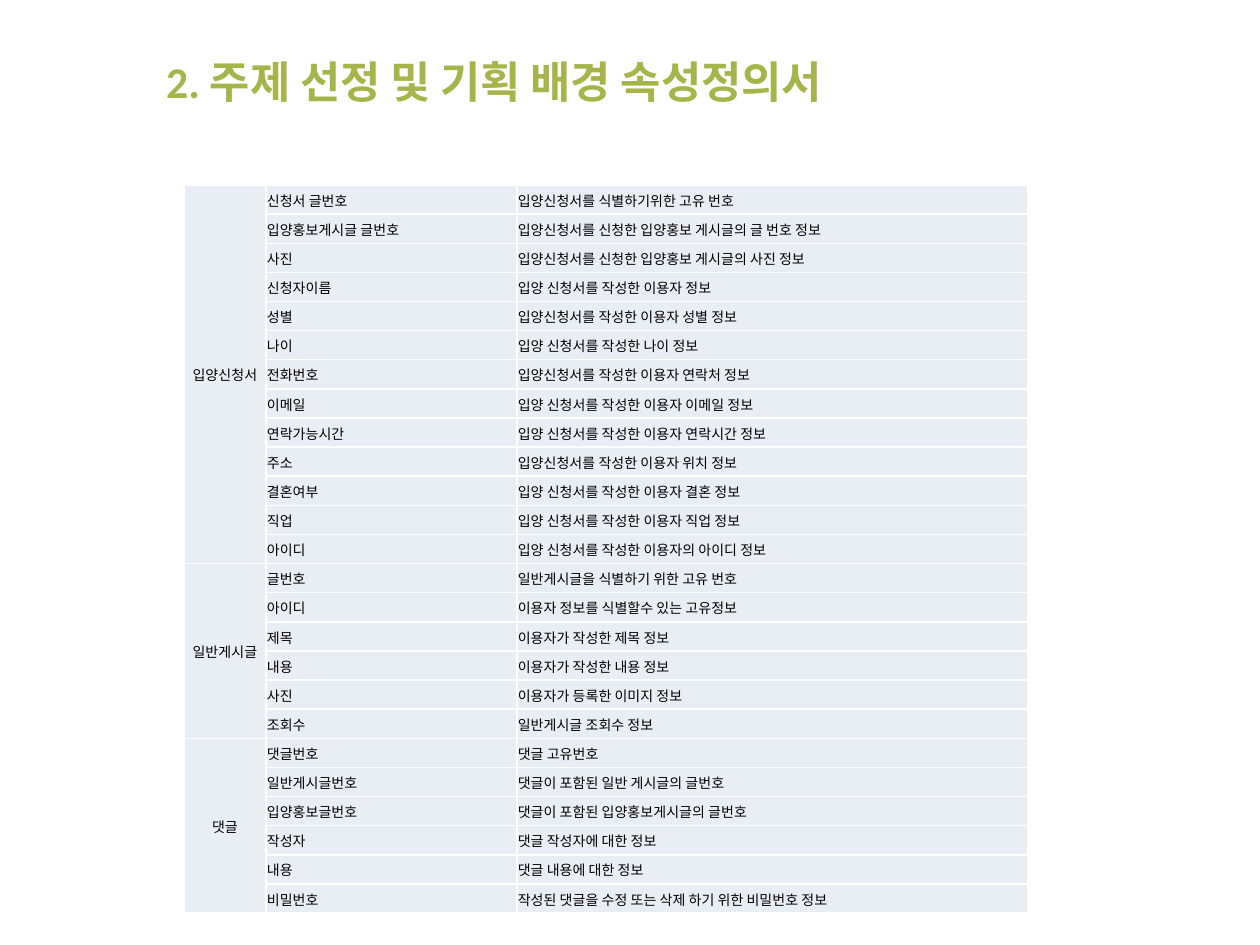
from lxml import etree
from pptx import Presentation
from pptx.dml.color import RGBColor
from pptx.enum import text
from pptx.oxml import ns
from pptx.util import Cm, Pt

TITLE = "2. 주제 선정 및 기획 배경 속성정의서"
ENTITIES = {
    "입양신청서": [
        ("신청서 글번호", "입양신청서를 식별하기위한 고유 번호"),
        ("입양홍보게시글 글번호", "입양신청서를 신청한 입양홍보 게시글의 글 번호 정보"),
        ("사진", "입양신청서를 신청한 입양홍보 게시글의 사진 정보"),
        ("신청자이름", "입양 신청서를 작성한 이용자 정보"),
        ("성별", "입양신청서를 작성한 이용자 성별 정보"),
        ("나이", "입양 신청서를 작성한 나이 정보"),
        ("전화번호", "입양신청서를 작성한 이용자 연락처 정보"),
        ("이메일", "입양 신청서를 작성한 이용자 이메일 정보"),
        ("연락가능시간", "입양 신청서를 작성한 이용자 연락시간 정보"),
        ("주소", "입양신청서를 작성한 이용자 위치 정보"),
        ("결혼여부", "입양 신청서를 작성한 이용자 결혼 정보"),
        ("직업", "입양 신청서를 작성한 이용자 직업 정보"),
        ("아이디", "입양 신청서를 작성한 이용자의 아이디 정보"),
    ],
    "일반게시글": [
        ("글번호", "일반게시글을 식별하기 위한 고유 번호"),
        ("아이디", "이용자 정보를 식별할수 있는 고유정보"),
        ("제목", "이용자가 작성한 제목 정보"),
        ("내용", "이용자가 작성한 내용 정보"),
        ("사진", "이용자가 등록한 이미지 정보"),
        ("조회수", "일반게시글 조회수 정보"),
    ],
    "댓글": [
        ("댓글번호", "댓글 고유번호"),
        ("일반게시글번호", "댓글이 포함된 일반 게시글의 글번호"),
        ("입양홍보글번호", "댓글이 포함된 입양홍보게시글의 글번호"),
        ("작성자", "댓글 작성자에 대한 정보"),
        ("내용", "댓글 내용에 대한 정보"),
        ("비밀번호", "작성된 댓글을 수정 또는 삭제 하기 위한 비밀번호 정보"),
    ],
}
COLORS = {"title": "A5B54A", "text": "000000", "cell": "E9EDF4", "border": "FFFFFF"}
FONT = "Calibri"
COLUMN_WIDTHS = [Cm(1.65), Cm(5.06), Cm(10.29)]
TABLE_LEFT, TABLE_TOP, TABLE_HEIGHT = Cm(3.71), Cm(3.73), Cm(14.68)


def write(frame, content, size=8, color="text", bold=False, align=text.PP_ALIGN.LEFT):
    paragraph = frame.paragraphs[0]
    paragraph.alignment = align
    run = paragraph.add_run()
    run.text = content
    run.font.name = FONT
    run.font.size = Pt(size)
    run.font.bold = bold
    run.font.color.rgb = RGBColor.from_string(COLORS[color])


def style_cell(cell):
    """Set margins, anchor, borders and fill; borders must precede the fill."""
    cell.margin_left = cell.margin_right = cell.margin_top = Cm(0.02)
    cell.margin_bottom = 0
    cell.vertical_anchor = text.MSO_ANCHOR.MIDDLE
    properties = cell._tc.get_or_add_tcPr()
    for side in ("a:lnL", "a:lnR", "a:lnT", "a:lnB"):
        line = etree.SubElement(properties, ns.qn(side), w=str(Pt(1)))
        fill = etree.SubElement(line, ns.qn("a:solidFill"))
        etree.SubElement(fill, ns.qn("a:srgbClr"), val=COLORS["border"])
    cell.fill.solid()
    cell.fill.fore_color.rgb = RGBColor.from_string(COLORS["cell"])


def add_title(slide):
    box = slide.shapes.add_textbox(Cm(3.1), Cm(0.64), Cm(21.03), Cm(2))
    box.text_frame.word_wrap = True
    box.text_frame.vertical_anchor = text.MSO_ANCHOR.MIDDLE
    write(box.text_frame, TITLE, size=25, color="title", bold=True)


def add_attribute_table(slide):
    row_count = sum(len(attributes) for attributes in ENTITIES.values())
    table = slide.shapes.add_table(
        row_count, len(COLUMN_WIDTHS), TABLE_LEFT, TABLE_TOP,
        sum(COLUMN_WIDTHS), TABLE_HEIGHT).table
    table.first_row = table.horz_banding = False
    for column, width in zip(table.columns, COLUMN_WIDTHS):
        column.width = width
    for row in table.rows:
        row.height = TABLE_HEIGHT // row_count
    for cell in table.iter_cells():
        style_cell(cell)

    first = 0
    for entity, attributes in ENTITIES.items():
        last = first + len(attributes) - 1
        table.cell(first, 0).merge(table.cell(last, 0))
        write(table.cell(first, 0).text_frame, entity, align=text.PP_ALIGN.CENTER)
        for row, attribute in enumerate(attributes, first):
            for column, content in enumerate(attribute, 1):
                write(table.cell(row, column).text_frame, content)
        first = last + 1


def main():
    presentation = Presentation()
    presentation.slide_width, presentation.slide_height = Cm(25.4), Cm(19.05)
    slide = presentation.slides.add_slide(presentation.slide_layouts[6])
    add_title(slide)
    add_attribute_table(slide)
    presentation.save("out.pptx")


if __name__ == "__main__":
    main()
